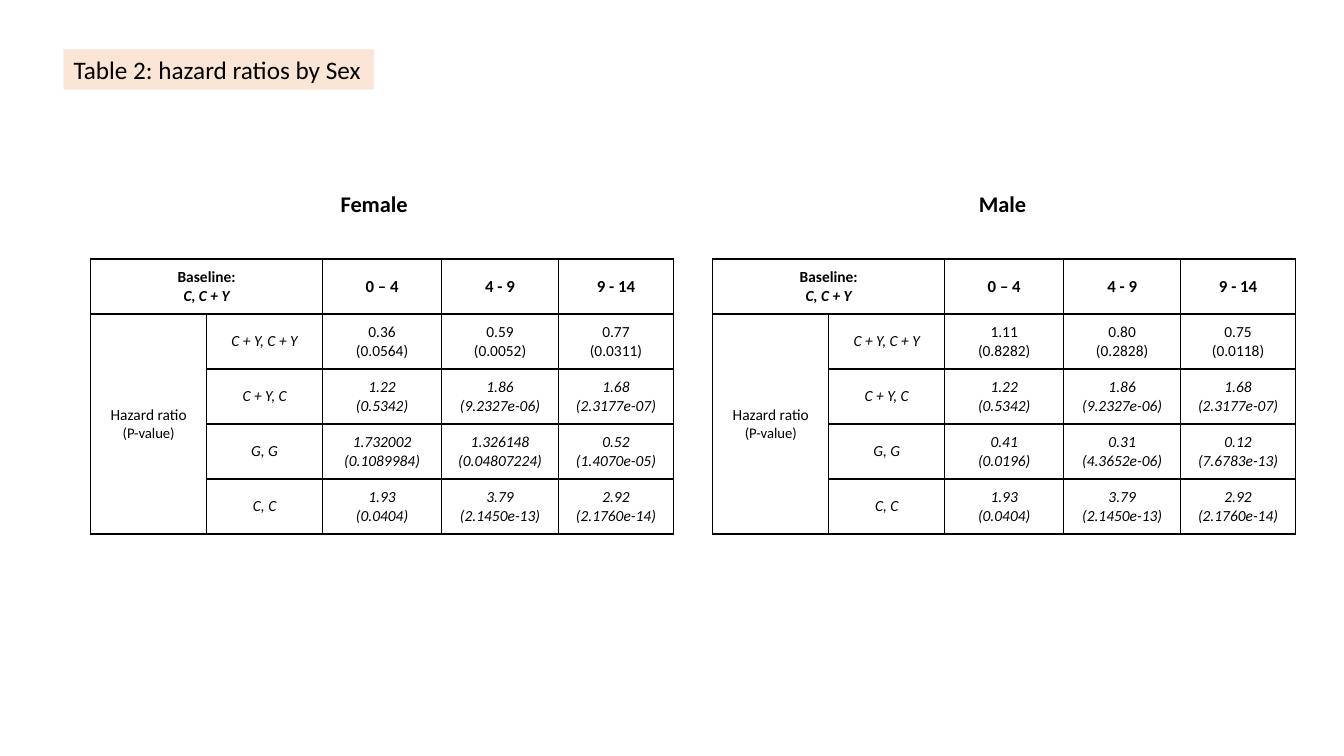
from dataclasses import dataclass

from pptx import Presentation
from pptx.dml.color import RGBColor
from pptx.enum.text import MSO_ANCHOR, PP_ALIGN
from pptx.oxml import parse_xml
from pptx.oxml.ns import nsdecls
from pptx.util import Inches, Pt

LEFT, CENTER = PP_ALIGN.LEFT, PP_ALIGN.CENTER
MIDDLE = MSO_ANCHOR.MIDDLE
TITLE_ONLY_LAYOUT = 5


@dataclass(frozen=True)
class Theme:
    font: str = "Calibri"
    text: str = "000000"
    border: str = "000000"
    title_fill: str = "FBE5D6"
    title_size: float = 18
    heading_size: float = 16
    age_size: float = 12
    body_size: float = 11
    note_size: float = 10.5
    border_width: float = 1


THEME = Theme()

AGE_GROUPS = ["0 – 4", "4 - 9", "9 - 14"]
COLUMN_WIDTHS = [1.15, 1.15, 1.18, 1.16, 1.14]
TABLE_TOP, TABLE_HEIGHT = 2.57, 2.73

# Genotype pairs whose hazard ratios are the same for both sexes
MIXED_ROW = ("C + Y, C", [("1.22", "(0.5342)"), ("1.86", "(9.2327e-06)"), ("1.68", "(2.3177e-07)")])
PURE_ROW = ("C, C", [("1.93", "(0.0404)"), ("3.79", "(2.1450e-13)"), ("2.92", "(2.1760e-14)")])

FEMALE_ROWS = [
    ("C + Y, C + Y", [("0.36", "(0.0564)"), ("0.59", "(0.0052)"), ("0.77", "(0.0311)")]),
    MIXED_ROW,
    ("G, G", [("1.732002", "(0.1089984)"), ("1.326148", "(0.04807224)"), ("0.52", "(1.4070e-05)")]),
    PURE_ROW,
]
MALE_ROWS = [
    ("C + Y, C + Y", [("1.11", "(0.8282)"), ("0.80", "(0.2828)"), ("0.75", "(0.0118)")]),
    MIXED_ROW,
    ("G, G", [("0.41", "(0.0196)"), ("0.31", "(4.3652e-06)"), ("0.12", "(7.6783e-13)")]),
    PURE_ROW,
]


def write_line(paragraph, text, size=THEME.body_size, bold=False, italic=False, align=CENTER):
    paragraph.alignment = align
    run = paragraph.add_run()
    run.text = text
    run.font.name = THEME.font
    run.font.size = Pt(size)
    run.font.bold = bold
    run.font.italic = italic
    run.font.color.rgb = RGBColor.from_string(THEME.text)


def add_borders(cell):
    properties = cell._tc.get_or_add_tcPr()
    for position, side in enumerate(("lnL", "lnR", "lnT", "lnB")):
        properties.insert(position, parse_xml(
            f'<a:{side} {nsdecls("a")} w="{Pt(THEME.border_width)}"><a:solidFill>'
            f'<a:srgbClr val="{THEME.border}"/></a:solidFill></a:{side}>'))


class HazardSlide:
    def __init__(self, presentation, theme):
        self.theme = theme
        self.slide = presentation.slides.add_slide(presentation.slide_layouts[TITLE_ONLY_LAYOUT])

    def title(self, text, left, top, width, height):
        shape = self.slide.shapes.title
        shape.left, shape.top = Inches(left), Inches(top)
        shape.width, shape.height = Inches(width), Inches(height)
        shape.fill.solid()
        shape.fill.fore_color.rgb = RGBColor.from_string(self.theme.title_fill)
        shape.text_frame.word_wrap = False
        shape.text_frame.vertical_anchor = MIDDLE
        write_line(shape.text_frame.paragraphs[0], text, size=self.theme.title_size, align=LEFT)

    def heading(self, text, left, top, width, height):
        shape = self.slide.shapes.add_textbox(Inches(left), Inches(top), Inches(width), Inches(height))
        shape.text_frame.word_wrap = False
        write_line(shape.text_frame.paragraphs[0], text,
                   size=self.theme.heading_size, bold=True, align=LEFT)

    def cell(self, cell, *lines):
        """Fill a cell with one paragraph for each (text, format) pair."""
        cell.vertical_anchor = MIDDLE
        frame = cell.text_frame
        for index, (text, style) in enumerate(lines):
            paragraph = frame.add_paragraph() if index else frame.paragraphs[0]
            write_line(paragraph, text, **style)

    def hazard_table(self, left, rows):
        row_count = len(rows) + 1
        table = self.slide.shapes.add_table(
            row_count, len(COLUMN_WIDTHS), Inches(left), Inches(TABLE_TOP),
            Inches(sum(COLUMN_WIDTHS)), Inches(TABLE_HEIGHT)).table
        table.first_row = table.horz_banding = False
        for column, width in zip(table.columns, COLUMN_WIDTHS):
            column.width = Inches(width)
        for cell in table.iter_cells():
            cell.fill.background()
            add_borders(cell)
        table.cell(0, 0).merge(table.cell(0, 1))
        table.cell(1, 0).merge(table.cell(row_count - 1, 0))

        self.cell(table.cell(0, 0), ("Baseline:", {"bold": True}),
                  ("C, C + Y", {"bold": True, "italic": True}))
        for column, age in enumerate(AGE_GROUPS, start=2):
            self.cell(table.cell(0, column), (age, {"size": self.theme.age_size, "bold": True}))
        self.cell(table.cell(1, 0), ("Hazard ratio", {}),
                  ("(P-value)", {"size": self.theme.note_size}))
        for row, (genotypes, results) in enumerate(rows, start=1):
            self.cell(table.cell(row, 1), (genotypes, {"italic": True}))
            style = {"italic": row > 1}
            for column, (ratio, p_value) in enumerate(results, start=2):
                self.cell(table.cell(row, column), (ratio, style), (p_value, style))


def main():
    presentation = Presentation()
    presentation.slide_width, presentation.slide_height = Inches(13.33), Inches(7.5)
    slide = HazardSlide(presentation, THEME)
    slide.title("Table 2: hazard ratios by Sex", 0.63, 0.49, 3.08, 0.4)
    slide.heading("Female", 3.28, 1.84, 0.87, 0.37)
    slide.hazard_table(0.9, FEMALE_ROWS)
    slide.heading("Male", 9.61, 1.84, 0.68, 0.37)
    slide.hazard_table(7.07, MALE_ROWS)
    presentation.save("out.pptx")


if __name__ == "__main__":
    main()
